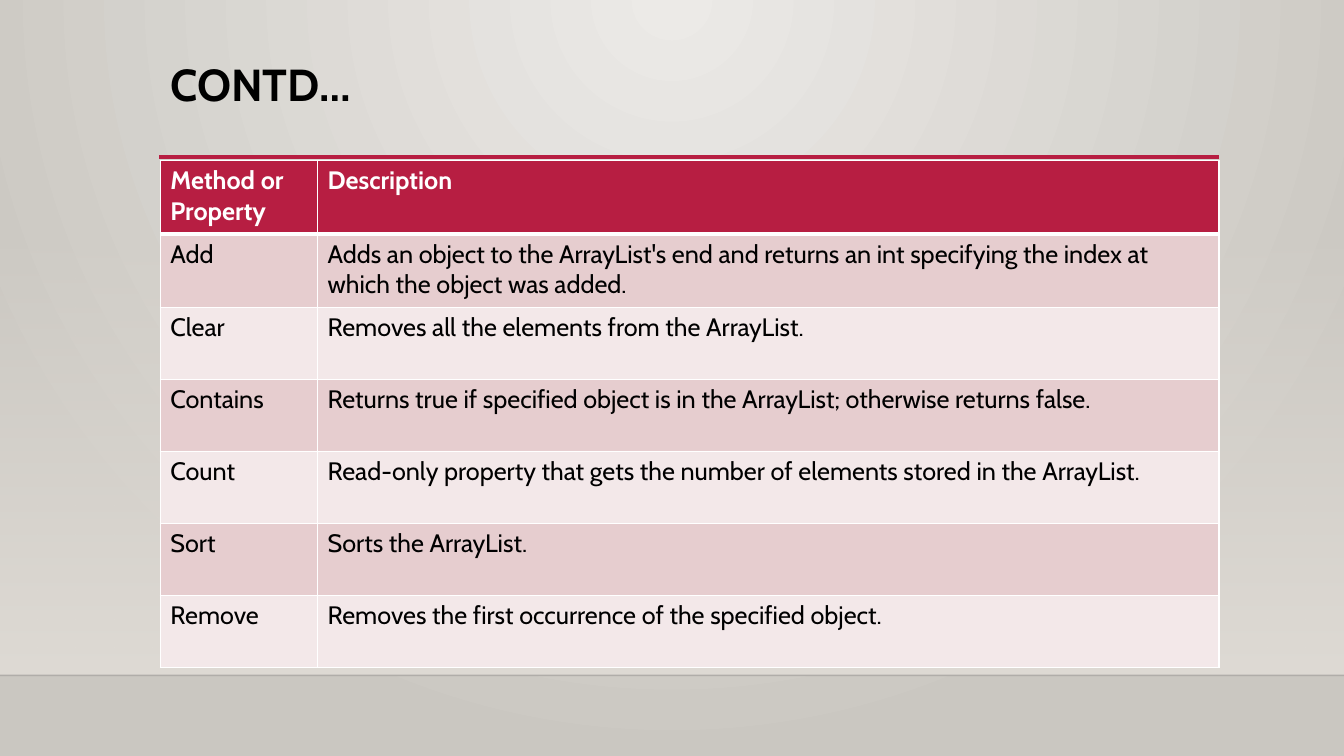
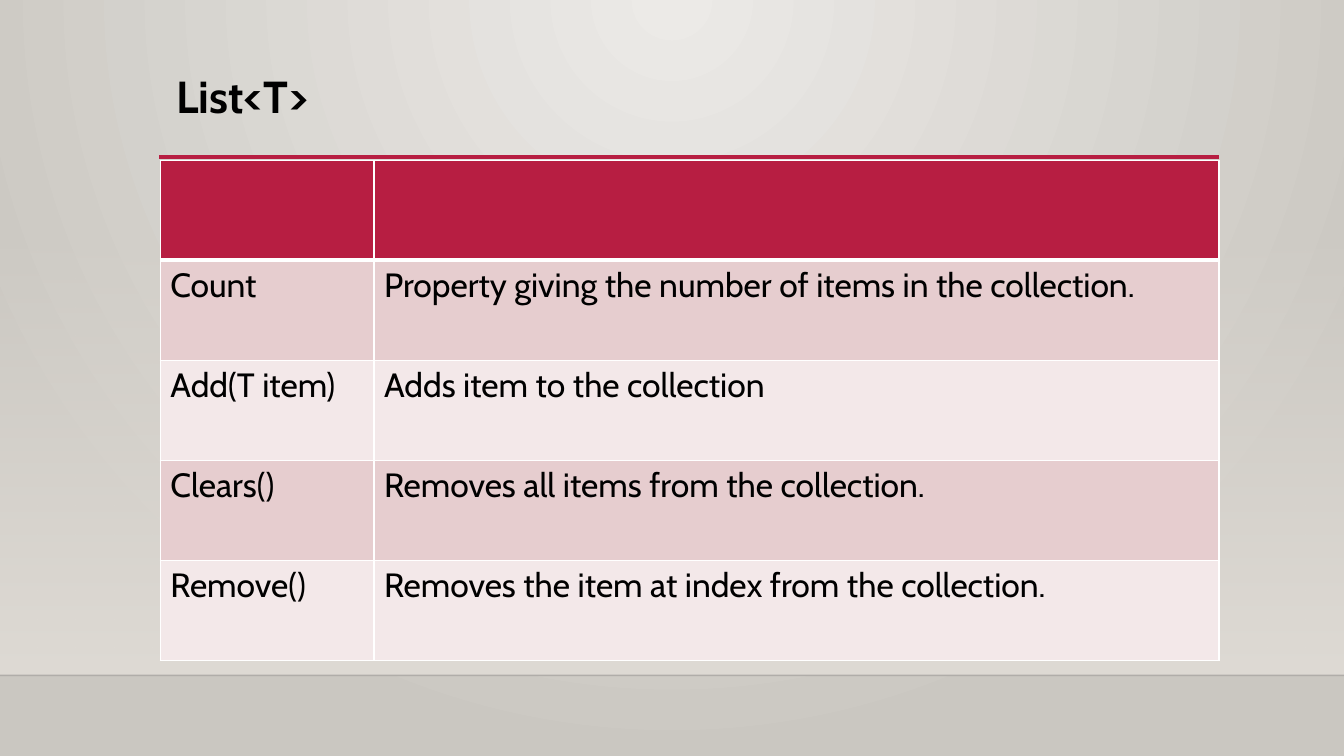
from dataclasses import dataclass

from pptx import Presentation
from pptx.dml.color import RGBColor
from pptx.enum.shapes import MSO_CONNECTOR, MSO_SHAPE
from pptx.enum.text import MSO_ANCHOR, PP_ALIGN
from pptx.oxml import parse_xml
from pptx.oxml.ns import nsdecls
from pptx.util import Inches, Pt

RECTANGLE = MSO_SHAPE.RECTANGLE
STRAIGHT = MSO_CONNECTOR.STRAIGHT
TOP = MSO_ANCHOR.TOP
LEFT = PP_ALIGN.LEFT

SLIDE_WIDTH = Inches(13.33)
SLIDE_HEIGHT = Inches(7.5)
FONT = "Cabin"
COLORS = {
    "background_light": "ECEAE7",
    "background_dark": "CAC7C1",
    "wall": "DFDBD5",
    "floor_line": "000001",
    "accent": "B71E42",
    "text": "000000",
    "white": "FFFFFF",
    "odd_row": "E6CDCF",
    "even_row": "F3E8E9",
}

TABLE_LEFT = 11.93
TABLE_TOP = 21.2
CONTENT_WIDTH = 78.77
WALL_TOP = 29.47
FLOOR_TOP = 89.33

CENTER_TOP_GLOW = (
    '<a:path path="circle"><a:fillToRect l="43000" r="43000" b="100000"/></a:path>'
)
DOWNWARD = '<a:lin ang="5400000" scaled="0"/>'


@dataclass(frozen=True)
class GradientStop:
    position: int
    color: str
    opacity: int = 100


@dataclass(frozen=True)
class Rule:
    left: float
    right: float
    top: float
    color: str
    points: float
    opacity: int = 100


@dataclass(frozen=True)
class Title:
    text: str
    left: float
    top: float
    height: float


@dataclass(frozen=True)
class TableContent:
    rows: list[tuple[str, str]]
    first_column: float
    row_heights: list[float]
    text_points: int


RULES = [
    Rule(0, 100, FLOOR_TOP, "floor_line", 1, 20),
    Rule(11.85, 90.7, 20.8, "accent", 2.5),
]

PAGES = [
    (
        Title("CONTD…", TABLE_LEFT, 7.6, 13.87),
        TableContent(
            [
                ("Method or Property", "Description"),
                (
                    "Add",
                    "Adds an object to the ArrayList's end and returns an int "
                    "specifying the index at which the object was added.",
                ),
                ("Clear", "Removes all the elements from the ArrayList."),
                (
                    "Contains",
                    "Returns true if specified object is in the ArrayList; "
                    "otherwise returns false.",
                ),
                (
                    "Count",
                    "Read-only property that gets the number of elements "
                    "stored in the ArrayList.",
                ),
                ("Sort", "Sorts the ArrayList."),
                ("Remove", "Removes the first occurrence of the specified object."),
            ],
            11.7,
            [9.73] * 2 + [9.52] * 5,
            18,
        ),
    ),
    (
        Title("List<T>", 12.38, 9.2, 11.07),
        TableContent(
            [
                ("", ""),
                ("Count", "Property giving the number of items in the collection."),
                ("Add(T item)", "Adds item to the collection"),
                ("Clears()", "Removes all items from the collection."),
                ("Remove()", "Removes the item at index from the collection."),
            ],
            15.9,
            [13.23] * 5,
            24,
        ),
    ),
]


def across(percent: float) -> int:
    return round(SLIDE_WIDTH * percent / 100)


def down(percent: float) -> int:
    return round(SLIDE_HEIGHT * percent / 100)


def rgb(color: str) -> RGBColor:
    return RGBColor.from_string(COLORS[color])


def gradient(stops: list[GradientStop], direction: str):
    stop_xml = "".join(
        f'<a:gs pos="{stop.position * 1000}"><a:srgbClr val="{COLORS[stop.color]}">'
        f'<a:alpha val="{stop.opacity * 1000}"/></a:srgbClr></a:gs>'
        for stop in stops
    )
    return parse_xml(
        f'<a:gradFill {nsdecls("a")} rotWithShape="1">'
        f"<a:gsLst>{stop_xml}</a:gsLst>{direction}</a:gradFill>"
    )


def replace_empty_fill(properties, fill) -> None:
    empty_fill = properties.xpath("./a:noFill")[0]
    properties.replace(empty_fill, fill)


def set_background(master) -> None:
    master.background.fill.background()
    properties = master._element.xpath("./p:cSld/p:bg/p:bgPr")[0]
    stops = [GradientStop(0, "background_light"), GradientStop(100, "background_dark")]
    replace_empty_fill(properties, gradient(stops, CENTER_TOP_GLOW))


def add_wall(slide) -> None:
    shape = slide.shapes.add_shape(
        RECTANGLE, 0, down(WALL_TOP), SLIDE_WIDTH, down(FLOOR_TOP - WALL_TOP)
    )
    shape.shadow.inherit = False
    shape.line.fill.background()
    shape.fill.background()
    stops = [GradientStop(0, "wall", 0), GradientStop(100, "wall")]
    replace_empty_fill(shape._element.spPr, gradient(stops, DOWNWARD))


def add_rule(slide, rule: Rule) -> None:
    connector = slide.shapes.add_connector(
        STRAIGHT, across(rule.left), down(rule.top), across(rule.right), down(rule.top)
    )
    connector.line.color.rgb = rgb(rule.color)
    connector.line.width = Pt(rule.points)
    properties = connector._element.spPr
    properties.xpath("./a:ln/a:solidFill/a:srgbClr")[0].append(
        parse_xml(f'<a:alpha {nsdecls("a")} val="{rule.opacity * 1000}"/>')
    )
    properties.append(parse_xml(f'<a:effectLst {nsdecls("a")}/>'))


def add_run(paragraph, text: str, points: int, color: str, bold: bool) -> None:
    paragraph.alignment = LEFT
    run = paragraph.add_run()
    run.text = text
    run.font.name = FONT
    run.font.size = Pt(points)
    run.font.bold = bold
    run.font.color.rgb = rgb(color)


def add_title(slide, title: Title) -> None:
    shape = slide.shapes.add_textbox(
        across(title.left), down(title.top), across(CONTENT_WIDTH), down(title.height)
    )
    frame = shape.text_frame
    frame.word_wrap = True
    frame.vertical_anchor = TOP
    paragraph = frame.paragraphs[0]
    paragraph.line_spacing = 0.9
    add_run(paragraph, title.text, 32, "text", True)


def set_borders(cell, bottom_points: int) -> None:
    properties = cell._tc.get_or_add_tcPr()
    edges = {"lnL": 1, "lnR": 1, "lnT": 1, "lnB": bottom_points}
    for position, (edge, points) in enumerate(edges.items()):
        border = parse_xml(
            f'<a:{edge} {nsdecls("a")} w="{Pt(points)}"><a:solidFill>'
            f'<a:srgbClr val="{COLORS["white"]}"/></a:solidFill></a:{edge}>'
        )
        properties.insert(position, border)


def add_table(slide, content: TableContent) -> None:
    table = slide.shapes.add_table(
        len(content.rows),
        2,
        across(TABLE_LEFT),
        down(TABLE_TOP),
        across(CONTENT_WIDTH),
        down(sum(content.row_heights)),
    ).table
    table.horz_banding = False
    table.columns[0].width = across(content.first_column)
    table.columns[1].width = across(CONTENT_WIDTH - content.first_column)
    for row_index, texts in enumerate(content.rows):
        table.rows[row_index].height = down(content.row_heights[row_index])
        header = row_index == 0
        band = "odd_row" if row_index % 2 else "even_row"
        for column_index, text in enumerate(texts):
            cell = table.cell(row_index, column_index)
            cell.fill.solid()
            cell.fill.fore_color.rgb = rgb("accent" if header else band)
            set_borders(cell, 3 if header else 1)
            if text:
                add_run(
                    cell.text_frame.paragraphs[0],
                    text,
                    content.text_points,
                    "white" if header else "text",
                    header,
                )


def build() -> None:
    presentation = Presentation()
    presentation.slide_width = SLIDE_WIDTH
    presentation.slide_height = SLIDE_HEIGHT
    set_background(presentation.slide_master)
    blank_layout = presentation.slide_layouts[6]
    for title, content in PAGES:
        slide = presentation.slides.add_slide(blank_layout)
        add_wall(slide)
        for rule in RULES:
            add_rule(slide, rule)
        add_title(slide, title)
        add_table(slide, content)
    presentation.save("out.pptx")


build()
